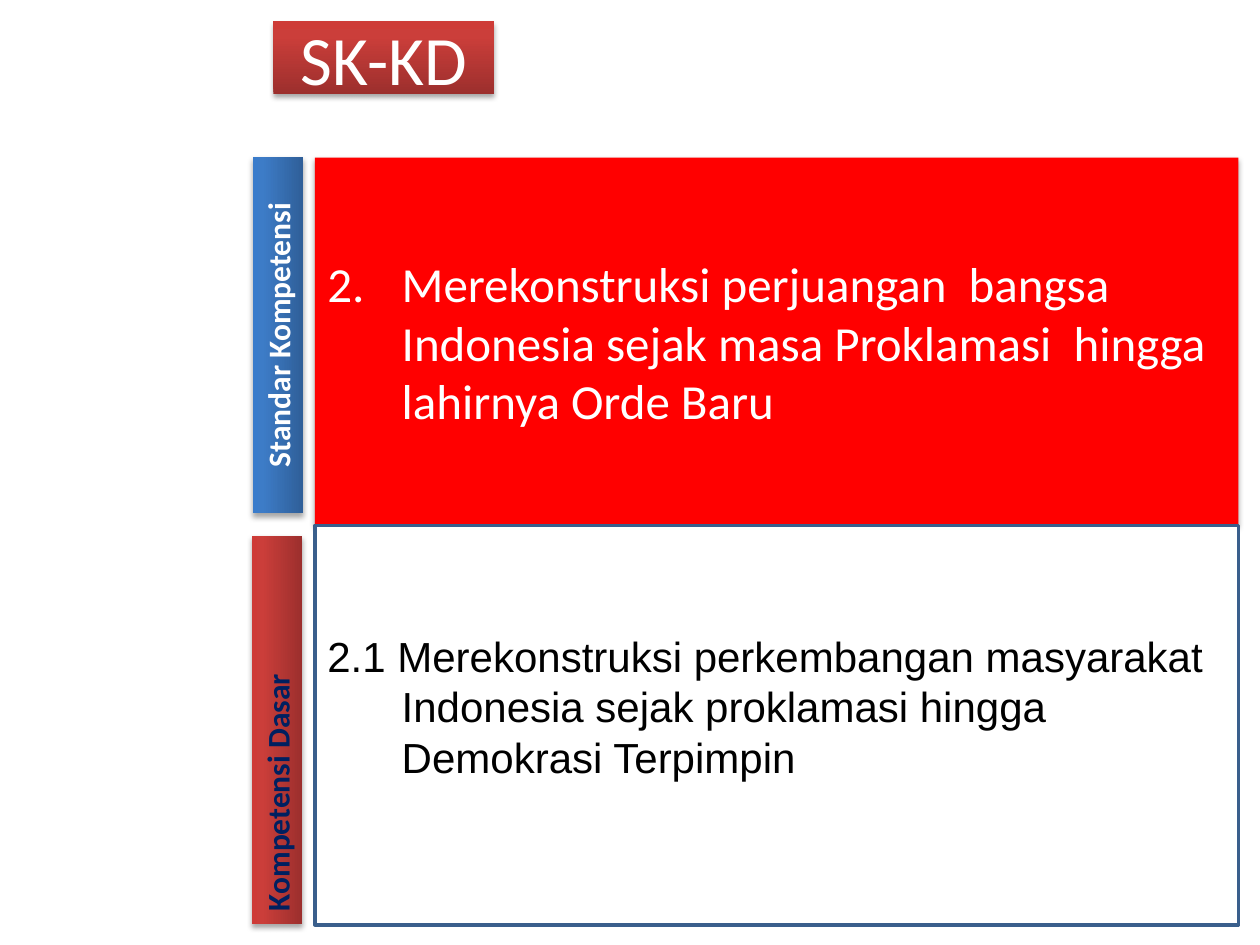
"""Build the SK-KD slide: a title, two side labels and two text panels."""
from copy import deepcopy
from pptx import Presentation
from pptx.dml.color import RGBColor
from pptx.enum.shapes import MSO_SHAPE as Form
from pptx.enum.text import MSO_ANCHOR as Anchor, MSO_AUTO_SIZE as Fit, PP_ALIGN as Align
from pptx.oxml import parse_xml
from pptx.util import Inches, Pt

SHADE = (
    '<a:outerShdw xmlns:a="http://schemas.openxmlformats.org/drawingml/2006/main" '
    'blurRad="39370" dist="22860" dir="5400000" rotWithShape="0">'
    '<a:srgbClr val="000000"><a:alpha val="35000"/></a:srgbClr></a:outerShdw>'
)
RED = ("9C2F2D", "CB3E3A", "CE3B37")
BLUE = ("2F5F99", "3D7CC7", "3A7CCB")


def paint(target, code):
    target.rgb = RGBColor.from_string(code)


def dress(shape, fills, shade, text, font, size, color, bold, align, anchor):
    if len(fills) == 1:
        shape.fill.solid()
        paint(shape.fill.fore_color, fills[0])
    else:
        shape.fill.gradient()
        shape.fill.gradient_angle = 90
        first = shape.fill._fill._gradFill.gsLst[0]
        first.addnext(deepcopy(first))
        for stop, place, code in zip(shape.fill.gradient_stops, (0, 0.8, 1), fills):
            stop.position = place
            paint(stop.color, code)
    shape.line.fill.background()
    shape.shadow.inherit = False
    if shade:
        shape._element.spPr.find("{*}effectLst").append(parse_xml(SHADE))
    frame = shape.text_frame
    frame.text = text
    frame.word_wrap = True
    frame.auto_size = Fit.NONE
    frame.vertical_anchor = anchor
    para = frame.paragraphs[0]
    para.alignment = align
    face = para.runs[0].font
    face.name, face.size, face.bold = font, Pt(size), bold
    paint(face.color, color)


deck = Presentation()
deck.slide_width, deck.slide_height = Inches(10), Inches(7.5)
slide = deck.slides.add_slide(deck.slide_layouts[5])

title = slide.shapes.title
title.left, title.top = Inches(2.17), Inches(0.17)
title.width, title.height = Inches(1.75), Inches(0.58)
dress(title, RED, True, "SK-KD", "Calibri", 39.6, "FFFFFF", False, Align.CENTER, Anchor.MIDDLE)

labels = [
    ("Standar Kompetensi", 0.79, 2.46, 2.83, BLUE, "FFFFFF", Align.CENTER),
    ("Kompetensi Dasar", 0.66, 5.59, 3.08, RED, "002060", Align.LEFT),
]
for text, left, top, width, fills, color, align in labels:
    label = slide.shapes.add_shape(Form.RECTANGLE, Inches(left), Inches(top), Inches(width), Inches(0.4))
    label.rotation = 270
    dress(label, fills, True, text, "Calibri", 18, color, True, align, Anchor.TOP)

panels = [
    ("2.\tMerekonstruksi perjuangan  bangsa Indonesia sejak masa Proklamasi  hingga lahirnya Orde Baru",
     1.25, 2.92, "FF0000", True, "Calibri", 28, "FFFFFF"),
    ("2.1 Merekonstruksi perkembangan masyarakat Indonesia sejak proklamasi hingga Demokrasi Terpimpin",
     4.17, 3.17, "FFFFFF", False, "Arial", 24, "000000"),
]
for text, top, height, fill, shade, font, size, color in panels:
    panel = slide.shapes.add_shape(Form.RECTANGLE, Inches(2.5), Inches(top), Inches(7.33), Inches(height))
    dress(panel, (fill,), shade, text, font, size, color, False, Align.LEFT, Anchor.MIDDLE)
    props = panel.text_frame.paragraphs[0]._p.get_or_add_pPr()
    props.set("marL", str(Inches(0.59)))
    props.set("indent", str(Inches(-0.59)))

panel.line.width = Pt(2)
panel.line.fill.solid()
paint(panel.line.color, "3A5F8C")
panel.text_frame.margin_bottom = Inches(0.35)

deck.save("out.pptx")
